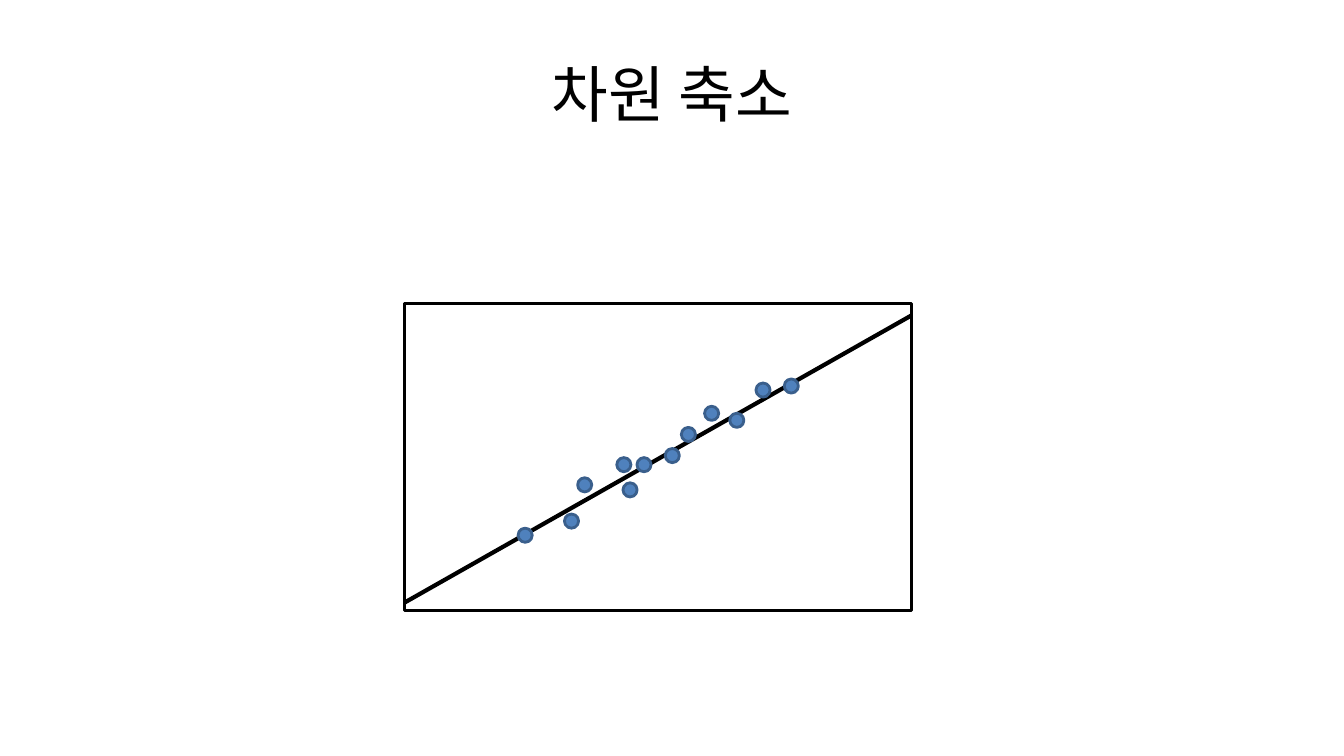
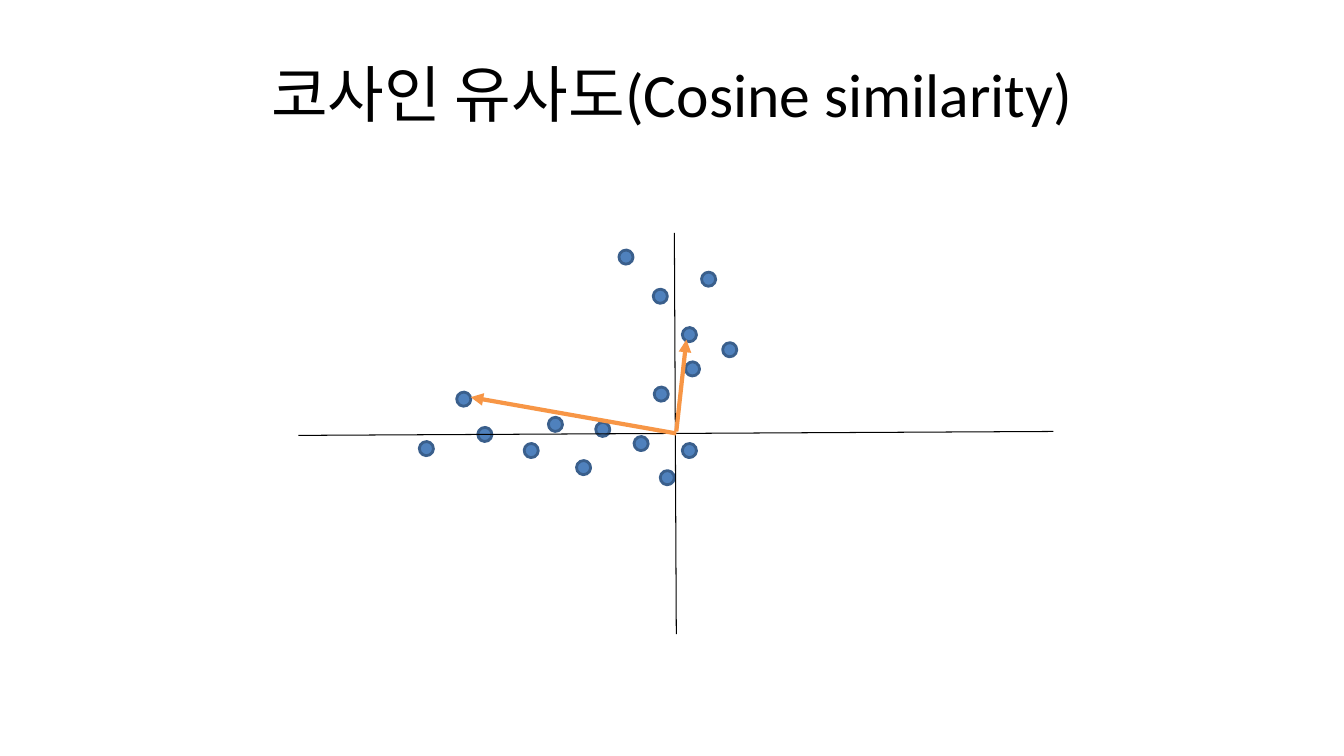
from lxml.etree import SubElement
from pptx import Presentation
from pptx.dml.color import RGBColor
from pptx.enum.shapes import MSO_CONNECTOR, MSO_SHAPE
from pptx.enum.text import MSO_ANCHOR, PP_ALIGN
from pptx.oxml.ns import qn
from pptx.util import Pt

COLORS = {
    "ink": "000000",
    "paper": "FFFFFF",
    "dot": "4F81BD",
    "dot_edge": "3A5F8C",
    "vector": "F79646",
}
FONT = "Calibri"
DOT_SIZE = 10.1

# Left and top of each data point
TREND_DOTS = [
    (370.1, 377.3), (403.2, 367.2), (445, 344.9), (440.6, 326.9),
    (412.6, 341.3), (475.2, 320.4), (455, 326.9), (486.7, 305.3),
    (521.3, 295.2), (540, 273.6), (503.3, 290.2), (560.2, 270.7),
]
CLUSTER_DOTS = [
    (326.2, 280.1), (442.1, 178.6), (452.9, 311.8), (489.6, 258.5),
    (487.4, 316.8), (374.4, 316.8), (467.3, 276.5), (466.6, 206.6),
    (411.8, 329), (299.5, 315.4), (501.1, 194.4), (516.2, 244.8),
    (487.4, 234), (341.3, 305.3), (391.7, 298.1), (471.6, 336.2),
    (425.5, 301.7),
]


def color(name):
    return RGBColor.from_string(COLORS[name])


def add_page(deck, title):
    """Add a blank page with the shared centred title."""
    page = deck.slides.add_slide(deck.slide_layouts[6])
    box = page.shapes.add_textbox(Pt(48), Pt(21.6), Pt(864), Pt(90))
    frame = box.text_frame
    frame.word_wrap = True
    frame.vertical_anchor = MSO_ANCHOR.MIDDLE
    para = frame.paragraphs[0]
    para.text = title
    para.alignment = PP_ALIGN.CENTER
    para.font.name = FONT
    para.font.size = Pt(44)
    para.font.color.rgb = color("ink")
    return page


def add_figure(page, kind, left, top, width, height, fill, edge):
    """Add a filled preset shape with a 2 pt outline."""
    shape = page.shapes.add_shape(kind, Pt(left), Pt(top), Pt(width), Pt(height))
    shape.shadow.inherit = False
    shape.fill.solid()
    shape.fill.fore_color.rgb = color(fill)
    shape.line.color.rgb = color(edge)
    shape.line.width = Pt(2)
    return shape


def add_dots(page, places, rotation=0):
    for left, top in places:
        dot = add_figure(page, MSO_SHAPE.OVAL, left, top, DOT_SIZE, DOT_SIZE,
                         "dot", "dot_edge")
        dot.rotation = rotation


def add_line(page, start, end, width, ink="ink", arrow=False):
    points = [Pt(value) for value in (*start, *end)]
    line = page.shapes.add_connector(MSO_CONNECTOR.STRAIGHT, *points)
    line.line.color.rgb = color(ink)
    line.line.width = Pt(width)
    properties = line._element.spPr
    if arrow:
        SubElement(properties.find(qn("a:ln")), qn("a:tailEnd"), type="triangle")
    SubElement(properties, qn("a:effectLst"))


def build_dimension_page(deck):
    page = add_page(deck, "차원 축소")
    # Plot frame and fitted line
    add_figure(page, MSO_SHAPE.RECTANGLE, 288.7, 216.7, 362.2, 219.6,
               "paper", "ink")
    add_line(page, (288.7, 430.6), (650.9, 225.4), 3)
    add_dots(page, TREND_DOTS)


def build_cosine_page(deck):
    page = add_page(deck, "코사인 유사도(Cosine similarity)")
    add_dots(page, CLUSTER_DOTS, rotation=32.8)
    # Axes
    add_line(page, (481.7, 166.3), (483.1, 452.9), 0.75)
    add_line(page, (213.1, 311), (752.4, 308.2), 0.75)
    # Vectors from the origin
    add_line(page, (483.1, 309.6), (336.2, 283.7), 3, "vector", arrow=True)
    add_line(page, (483.1, 308.2), (490.3, 242.6), 3, "vector", arrow=True)


def main():
    deck = Presentation()
    deck.slide_width, deck.slide_height = Pt(960), Pt(540)
    build_dimension_page(deck)
    build_cosine_page(deck)
    deck.save("out.pptx")


main()
